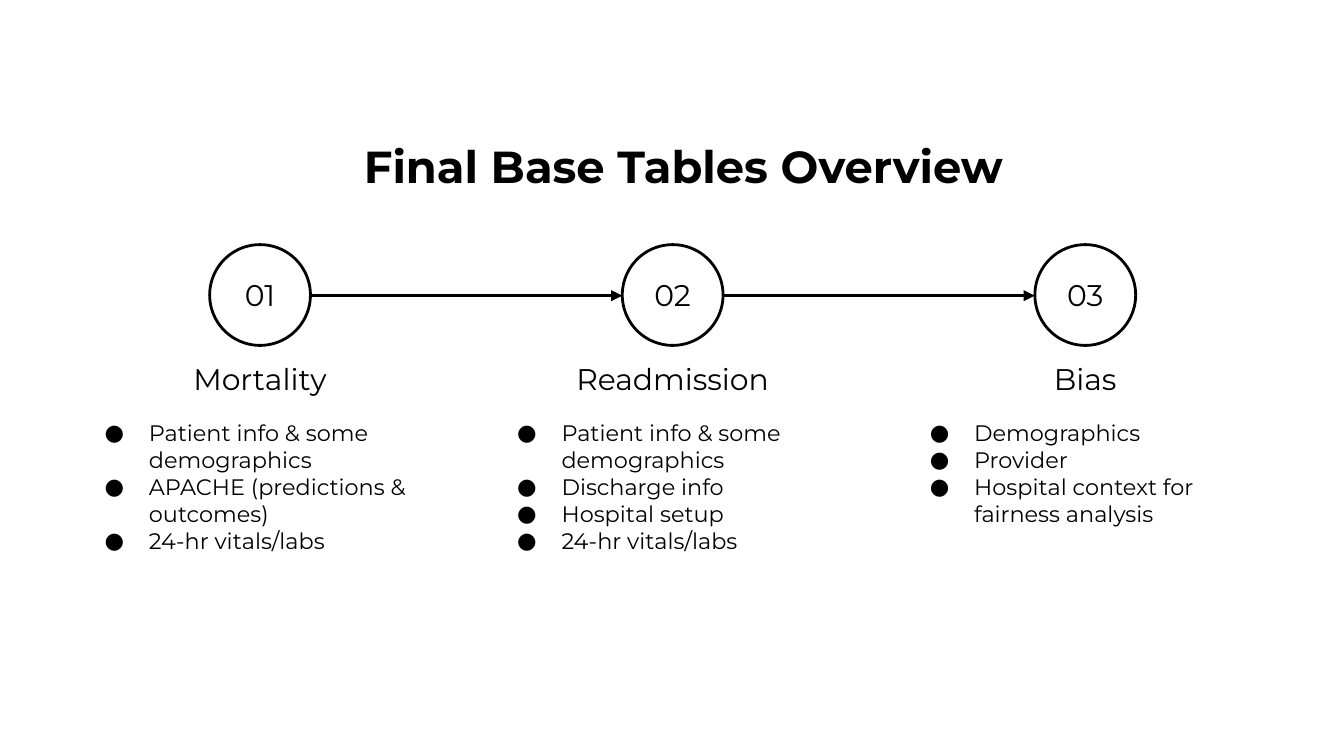
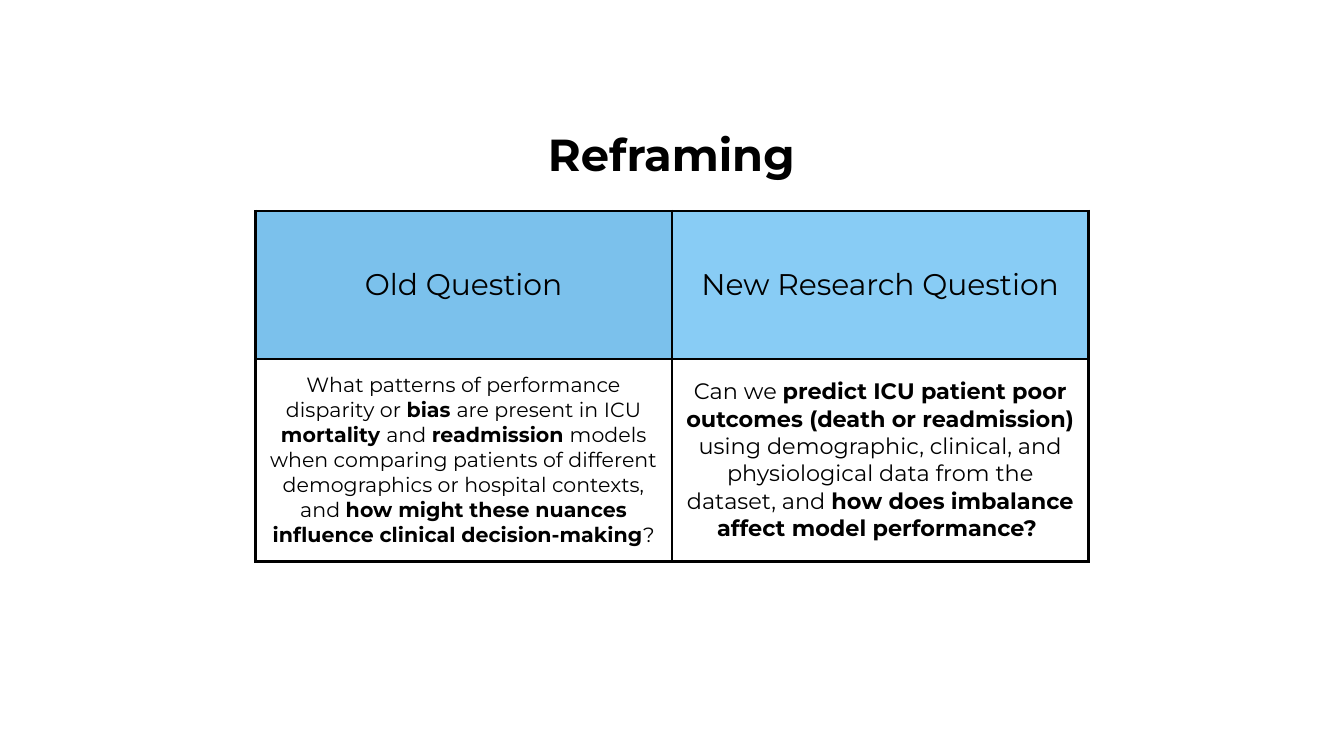
from typing import NamedTuple

from lxml.etree import SubElement
from pptx import Presentation
from pptx.dml.color import RGBColor
from pptx.enum.shapes import MSO_CONNECTOR, MSO_SHAPE
from pptx.enum.text import MSO_ANCHOR, MSO_AUTO_SIZE, PP_ALIGN
from pptx.oxml.ns import qn
from pptx.slide import Slide
from pptx.table import _Cell
from pptx.text.text import TextFrame, _Paragraph
from pptx.util import Inches, Pt

COLORS = {"ink": "000000", "old": "7BC1EC", "new": "88CCF5"}
FONT = "Montserrat"
INSET = Inches(0.1)
LINE_WIDTH = Pt(1.5)

STAGE_LEFT, STAGE_PITCH, STAGE_WIDTH = 0.51, 3.07, 2.85
CIRCLE_TOP, CIRCLE_SIZE = 1.82, 0.75
CIRCLE_OFFSET = (STAGE_WIDTH - CIRCLE_SIZE) / 2
ARROW_TOP = 2.2


class Stage(NamedTuple):
    """One base table in the overview."""

    name: str
    contents: list[str]


class Question(NamedTuple):
    """One column of the reframing table, with ** around bold words."""

    heading: str
    color: str
    wording: str
    size: int


STAGES = [
    Stage("Mortality", ["Patient info & some demographics",
                        "APACHE (predictions & outcomes)", "24-hr vitals/labs"]),
    Stage("Readmission", ["Patient info & some demographics", "Discharge info",
                          "Hospital setup", "24-hr vitals/labs"]),
    Stage("Bias", ["Demographics", "Provider", "Hospital context for fairness analysis"]),
]

QUESTIONS = [
    Question("Old Question", "old",
             "What patterns of performance disparity or **bias **are present in ICU "
             "**mortality **and **readmission **models when comparing patients of different "
             "demographics or hospital contexts, and **how might these nuances influence "
             "clinical decision-making**?", 11),
    Question("New Research Question", "new",
             "Can we **predict ICU patient poor outcomes (death or readmission)** using "
             "demographic, clinical, and physiological data from the dataset, and "
             "**how does imbalance affect model performance? **", 12),
]


def rgb(name: str) -> RGBColor:
    """Look up a palette colour."""
    return RGBColor.from_string(COLORS[name])


def add_bullet(paragraph: _Paragraph, size: int) -> None:
    """Give a paragraph a round bullet with a hanging indent."""
    properties = paragraph._p.get_or_add_pPr()
    properties.set("marL", str(Inches(0.5)))
    properties.set("indent", str(Inches(-0.33)))
    bullet_color = SubElement(properties, qn("a:buClr"))
    SubElement(bullet_color, qn("a:srgbClr"), val=COLORS["ink"])
    SubElement(properties, qn("a:buSzPts"), val=str(size * 100))
    SubElement(properties, qn("a:buFont"), typeface=FONT)
    SubElement(properties, qn("a:buChar"), char="●")


def write(frame: TextFrame, *lines: str, size: int = 16, bold: bool = False,
          align: PP_ALIGN = PP_ALIGN.CENTER, bullets: bool = False) -> None:
    """Write lines as paragraphs, switching weight at each ** mark."""
    for index, line in enumerate(lines):
        paragraph = frame.add_paragraph() if index else frame.paragraphs[0]
        paragraph.alignment = align
        if bullets:
            add_bullet(paragraph, size)
        for position, words in enumerate(line.split("**")):
            if not words:
                continue
            run = paragraph.add_run()
            run.text = words
            run.font.name = FONT
            run.font.size = Pt(size)
            run.font.bold = bold or position % 2 == 1
            run.font.color.rgb = rgb("ink")


def prepare(frame: TextFrame, anchor: MSO_ANCHOR) -> TextFrame:
    """Set the shared wrapping and insets of a text frame."""
    frame.auto_size = MSO_AUTO_SIZE.NONE
    frame.word_wrap = True
    frame.vertical_anchor = anchor
    frame.margin_left = frame.margin_right = INSET
    frame.margin_top = frame.margin_bottom = INSET
    return frame


def add_titled_slide(deck: Presentation, title: str, left: float, top: float) -> Slide:
    """Add a title-only slide with the shared title style."""
    slide = deck.slides.add_slide(deck.slide_layouts[5])
    heading = slide.shapes.title
    heading.left, heading.top = Inches(left), Inches(top)
    heading.width, heading.height = Inches(9.01), Inches(0.61)
    write(prepare(heading.text_frame, MSO_ANCHOR.TOP), title, size=24, bold=True)
    return slide


def add_text_area(slide: Slide, left: float, top: float, height: float,
                  anchor: MSO_ANCHOR) -> TextFrame:
    """Add a text box as wide as a stage."""
    area = slide.shapes.add_textbox(Inches(left), Inches(top),
                                    Inches(STAGE_WIDTH), Inches(height))
    return prepare(area.text_frame, anchor)


def add_stage(slide: Slide, number: int, stage: Stage) -> None:
    """Draw a numbered circle with its name and contents below."""
    left = STAGE_LEFT + (number - 1) * STAGE_PITCH
    write(add_text_area(slide, left, 2.69, 0.36, MSO_ANCHOR.BOTTOM), stage.name)
    write(add_text_area(slide, left, 3.02, 1.32, MSO_ANCHOR.TOP), *stage.contents,
          size=12, align=PP_ALIGN.LEFT, bullets=True)
    circle = slide.shapes.add_shape(MSO_SHAPE.OVAL, Inches(left + CIRCLE_OFFSET),
                                    Inches(CIRCLE_TOP), Inches(CIRCLE_SIZE),
                                    Inches(CIRCLE_SIZE))
    circle.shadow.inherit = False
    circle.fill.background()
    circle.line.color.rgb = rgb("ink")
    circle.line.width = LINE_WIDTH
    write(prepare(circle.text_frame, MSO_ANCHOR.MIDDLE), f"{number:02}")


def add_stage_arrow(slide: Slide, number: int) -> None:
    """Draw the arrow from a stage's circle to the next one."""
    start = STAGE_LEFT + (number - 1) * STAGE_PITCH + CIRCLE_OFFSET + CIRCLE_SIZE
    end = start + STAGE_PITCH - CIRCLE_SIZE
    arrow = slide.shapes.add_connector(MSO_CONNECTOR.STRAIGHT, Inches(start),
                                       Inches(ARROW_TOP), Inches(end), Inches(ARROW_TOP))
    arrow.line.color.rgb = rgb("ink")
    arrow.line.width = LINE_WIDTH
    SubElement(arrow.line._get_or_add_ln(), qn("a:tailEnd"), type="triangle")
    SubElement(arrow._element.spPr, qn("a:effectLst"))


def format_cell(cell: _Cell, color: str | None = None) -> None:
    """Set a cell's borders, fill, insets and anchor."""
    properties = cell._tc.get_or_add_tcPr()
    for side in ("a:lnL", "a:lnR", "a:lnT", "a:lnB"):
        border = SubElement(properties, qn(side), w=str(LINE_WIDTH))
        border_fill = SubElement(border, qn("a:solidFill"))
        SubElement(border_fill, qn("a:srgbClr"), val=COLORS["ink"])
    if color:
        cell.fill.solid()
        cell.fill.fore_color.rgb = rgb(color)
    else:
        cell.fill.background()
    cell.vertical_anchor = MSO_ANCHOR.MIDDLE
    cell.margin_left = cell.margin_right = INSET
    cell.margin_top = cell.margin_bottom = INSET


def build_overview(deck: Presentation) -> None:
    """Build the overview of the base tables."""
    slide = add_titled_slide(deck, "Final Base Tables Overview", 0.58, 0.93)
    for number, stage in enumerate(STAGES, 1):
        add_stage(slide, number, stage)
    for number in range(1, len(STAGES)):
        add_stage_arrow(slide, number)


def build_reframing(deck: Presentation) -> None:
    """Build the comparison of the old and new questions."""
    slide = add_titled_slide(deck, "Reframing", 0.49, 0.84)
    comparison = slide.shapes.add_table(2, len(QUESTIONS), Inches(1.9), Inches(1.57),
                                        Inches(6.2), Inches(2.2)).table
    comparison.first_row = comparison.horz_banding = False
    for column, question in enumerate(QUESTIONS):
        heading, wording = comparison.cell(0, column), comparison.cell(1, column)
        format_cell(heading, question.color)
        format_cell(wording)
        write(heading.text_frame, question.heading)
        write(wording.text_frame, question.wording, size=question.size)


def main() -> None:
    """Build and save the deck."""
    deck = Presentation()
    deck.slide_width = Inches(10)
    deck.slide_height = deck.slide_width * 9 // 16
    build_overview(deck)
    build_reframing(deck)
    deck.save("out.pptx")


if __name__ == "__main__":
    main()
